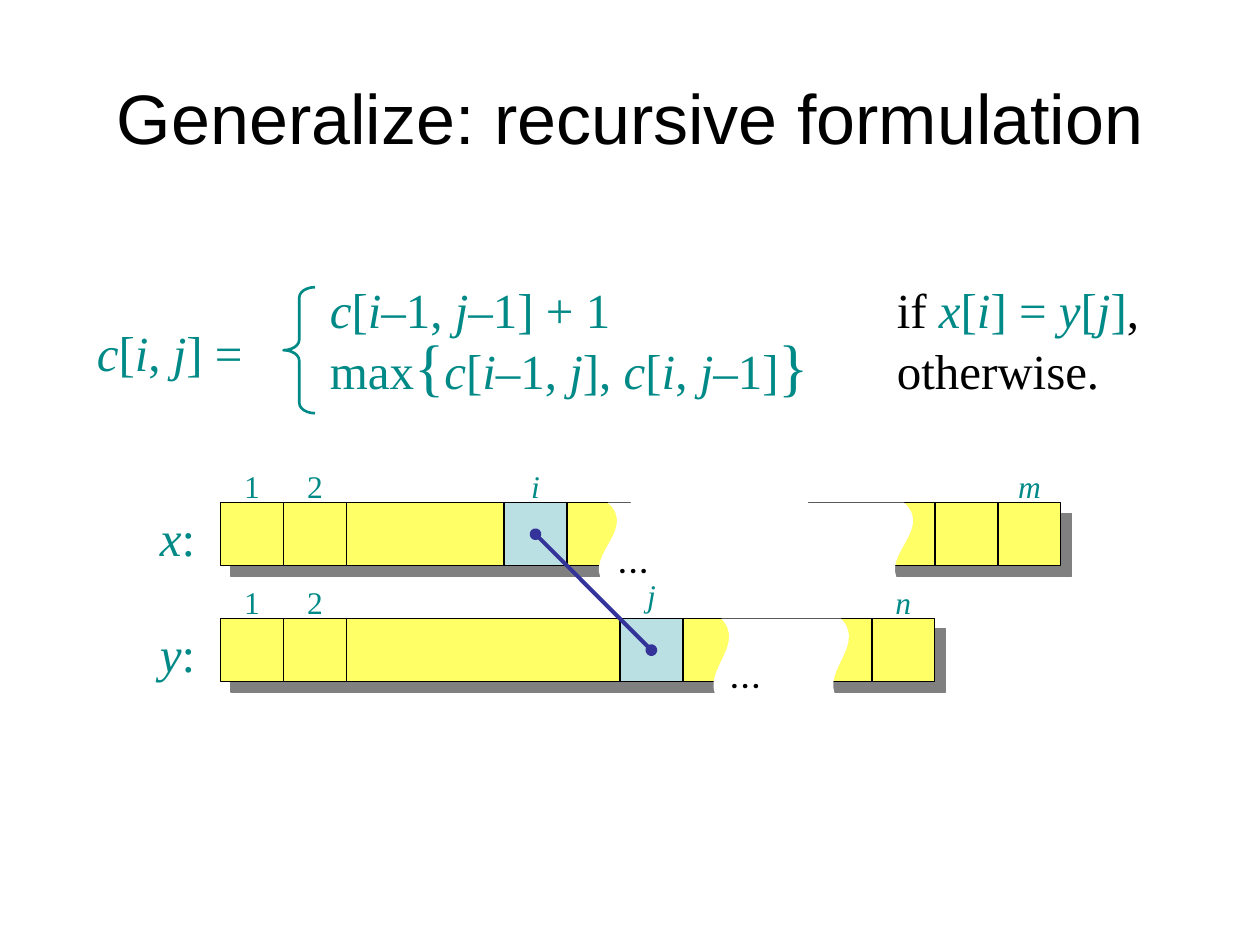
from collections import namedtuple
from dataclasses import dataclass

from lxml.etree import SubElement
from pptx import Presentation
from pptx.dml.color import RGBColor
from pptx.enum.shapes import MSO_CONNECTOR, MSO_SHAPE
from pptx.enum.text import MSO_ANCHOR, MSO_AUTO_SIZE, PP_ALIGN
from pptx.oxml.ns import qn
from pptx.util import Emu, Pt

SCALE = 9144
Box = namedtuple("Box", "left top width height")
Cell = namedtuple("Cell", "left width mark hot lift", defaults=("", False, 0))


@dataclass(frozen=True)
class Theme:
    """Hold the colours, fonts and type sizes."""
    ink: str = "000000"
    teal: str = "008A87"
    yellow: str = "FFFF66"
    blue: str = "BBE0E3"
    navy: str = "333399"
    shade: str = "808080"
    white: str = "FFFFFF"
    sans: str = "Arial"
    serif: str = "Times New Roman"
    dots: str = "Roboto"
    head: int = 40
    large: int = 36
    body: int = 28
    small: int = 18


THEME = Theme()


def px(value):
    """Turn px into EMU."""
    return Emu(round(value * SCALE))


def place(box):
    """Give the four EMU lengths of a box."""
    return [px(value) for value in box]


def rgb(code):
    """Turn a hex code into a colour."""
    return RGBColor.from_string(code)


def write(frame, *lines, size=THEME.body, color=THEME.teal, font=THEME.serif,
          align=PP_ALIGN.LEFT, anchor=MSO_ANCHOR.TOP, pad=(10, 5), wrap=False,
          space=None, tab=None, base=None):
    """Write lines of (text, overrides) parts, with italics between stars."""
    frame.word_wrap = wrap
    frame.vertical_anchor = anchor
    frame.margin_left = frame.margin_right = px(pad[0])
    frame.margin_top = frame.margin_bottom = px(pad[1])
    for count, line in enumerate(lines):
        para = frame.add_paragraph() if count else frame.paragraphs[0]
        para.alignment = align
        if space:
            para.line_spacing = space
        if tab:
            stops = SubElement(para._p.get_or_add_pPr(), qn("a:tabLst"))
            SubElement(stops, qn("a:tab"), pos=str(px(tab)), algn="l")
        for part, changes in line:
            for index, piece in enumerate(part.split("*")):
                if not piece:
                    continue
                run = para.add_run()
                run.text = piece
                run.font.name = font
                run.font.italic = index % 2 == 1
                run.font.size = Pt(changes.get("size", size))
                run.font.color.rgb = rgb(changes.get("color", color))
                if base:
                    run.font._element.set("baseline", str(base))


def label(slide, box, *lines, **look):
    """Add a text box that grows with its text."""
    frame = slide.shapes.add_textbox(*place(box)).text_frame
    write(frame, *lines, **look)
    frame.auto_size = MSO_AUTO_SIZE.SHAPE_TO_FIT_TEXT


def heading(slide, box):
    """Place the slide title."""
    title = slide.shapes.title
    title.left, title.top, title.width, title.height = place(box)
    write(title.text_frame, [("Generalize: recursive formulation", {})],
          size=THEME.head, color=THEME.ink, font=THEME.sans,
          align=PP_ALIGN.CENTER, anchor=MSO_ANCHOR.MIDDLE, wrap=True)


def formula(slide, box):
    """Place the recurrence with its brace and two cases."""
    dark, large = {"color": THEME.ink}, {"size": THEME.large}
    left, top = box.left, box.top
    label(slide, Box(left, top + 27, 150, 57), [("*c*[*i*, *j*] =", {})],
          wrap=True)
    label(slide, Box(left + 185, top, 670, 101),
          [("*c*[*i*–1, *j*–1] + 1\t", {}), ("if ", dark),
           ("*x*[*i*] = *y*[*j*]", {}), (",", dark)],
          [("max", {}), ("{", large), ("*c*[*i*–1, *j*], *c*[*i*, *j*–1]", {}),
           ("}", large), ("\totherwise.", dark)],
          space=0.85, tab=450, wrap=True)
    brace = slide.shapes.add_shape(
        MSO_SHAPE.LEFT_BRACE, *place(Box(left + 158, top + 4, 25, 100)))
    brace.adjustments[0] = 0.33
    brace.shadow.inherit = False
    brace.fill.background()
    brace.line.color.rgb = rgb(THEME.teal)
    brace.line.width = Pt(1.5)


def block(slide, box, color):
    """Add one array cell with a hard shadow."""
    shape = slide.shapes.add_shape(MSO_SHAPE.RECTANGLE, *place(box))
    shape.fill.solid()
    shape.fill.fore_color.rgb = rgb(color)
    shape.line.color.rgb = rgb(THEME.ink)
    shape.line.width = Pt(0.75)
    shape.shadow.inherit = False
    effect = shape._element.spPr.find(qn("a:effectLst"))
    shadow = SubElement(effect, qn("a:outerShdw"), blurRad="0",
                        dist=str(Pt(8.5)), dir="2700000", algn="ctr",
                        rotWithShape="0")
    SubElement(shadow, qn("a:srgbClr"), val=THEME.shade)


def tear(slide, box, bend):
    """Cover the torn part of a row with an upright wave and dots."""
    shift = (box.width - box.height) / 2
    turned = Box(box.left + shift, box.top - shift, box.height, box.width)
    wave = slide.shapes.add_shape(MSO_SHAPE.WAVE, *place(turned))
    wave.rotation = 270
    wave.adjustments[0] = bend
    wave.shadow.inherit = False
    wave.fill.solid()
    wave.fill.fore_color.rgb = rgb(THEME.white)
    wave.line.fill.background()
    write(wave.text_frame, [("...", {})], size=THEME.head, color=THEME.ink,
          font=THEME.dots, align=PP_ALIGN.CENTER, anchor=MSO_ANCHOR.MIDDLE,
          pad=(5, 10), wrap=True, base=18000)
    wave.text_frame._txBody.bodyPr.set("vert", "eaVert")


def row(slide, box, name, cells, gap, bend):
    """Place one array and give the middle of its marked cell."""
    for cell in cells:
        block(slide, Box(box.left + cell.left, box.top, cell.width, box.height),
              THEME.blue if cell.hot else THEME.yellow)
    tear(slide, Box(box.left + gap[0], box.top, gap[1], 67), bend)
    for cell in cells:
        middle = box.left + cell.left + cell.width / 2
        if cell.mark:
            label(slide, Box(middle - 20, box.top - 33 - cell.lift, 40, 40),
                  [(cell.mark, {})], size=THEME.small, align=PP_ALIGN.CENTER,
                  wrap=True)
        if cell.hot:
            center = middle, box.top + box.height / 2
    label(slide, Box(box.left - 58, box.top - 1, 55, 57),
          [(f"*{name}*:", {})], wrap=True)
    return center


def link(slide, start, end):
    """Join two points with a line that has round ends."""
    line = slide.shapes.add_connector(
        MSO_CONNECTOR.STRAIGHT, *place(start + end))
    line.line.color.rgb = rgb(THEME.navy)
    line.line.width = Pt(2.25)
    for tag in ("a:headEnd", "a:tailEnd"):
        SubElement(line.line._get_or_add_ln(), qn(tag), type="oval")
    SubElement(line._element.spPr, qn("a:effectLst"))


def main():
    """Build and save the slide."""
    deck = Presentation()
    deck.slide_width, deck.slide_height = px(1000), px(750)
    slide = deck.slides.add_slide(deck.slide_layouts[5])
    heading(slide, Box(50, 30, 900, 125))
    formula(slide, Box(67, 224, 855, 104))
    first = [Cell(0, 50, "1"), Cell(50, 50, "2")]
    upper = first + [Cell(100, 125), Cell(225, 50, "*i*", True), Cell(275, 50),
                     Cell(467, 100), Cell(567, 50), Cell(617, 50, "*m*")]
    lower = first + [Cell(100, 225), Cell(317, 50, "*j*", True, 6),
                     Cell(367, 50), Cell(408, 100), Cell(467, 50),
                     Cell(517, 50, "*n*")]
    start = row(slide, Box(175, 399, 667, 50), "x", upper, (300, 250), 0.03)
    end = row(slide, Box(175, 491, 567, 50), "y", lower, (391, 108), 0.06)
    link(slide, start, end)
    deck.save("out.pptx")


if __name__ == "__main__":
    main()
